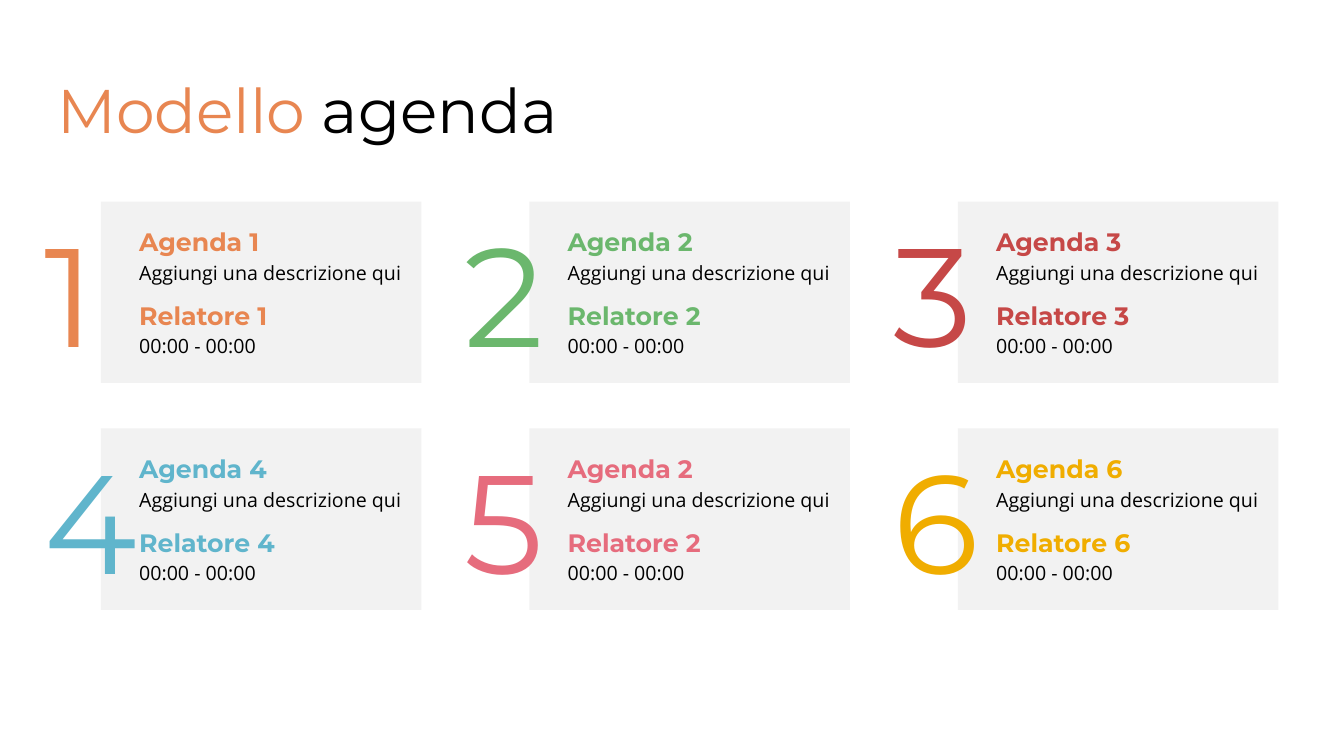
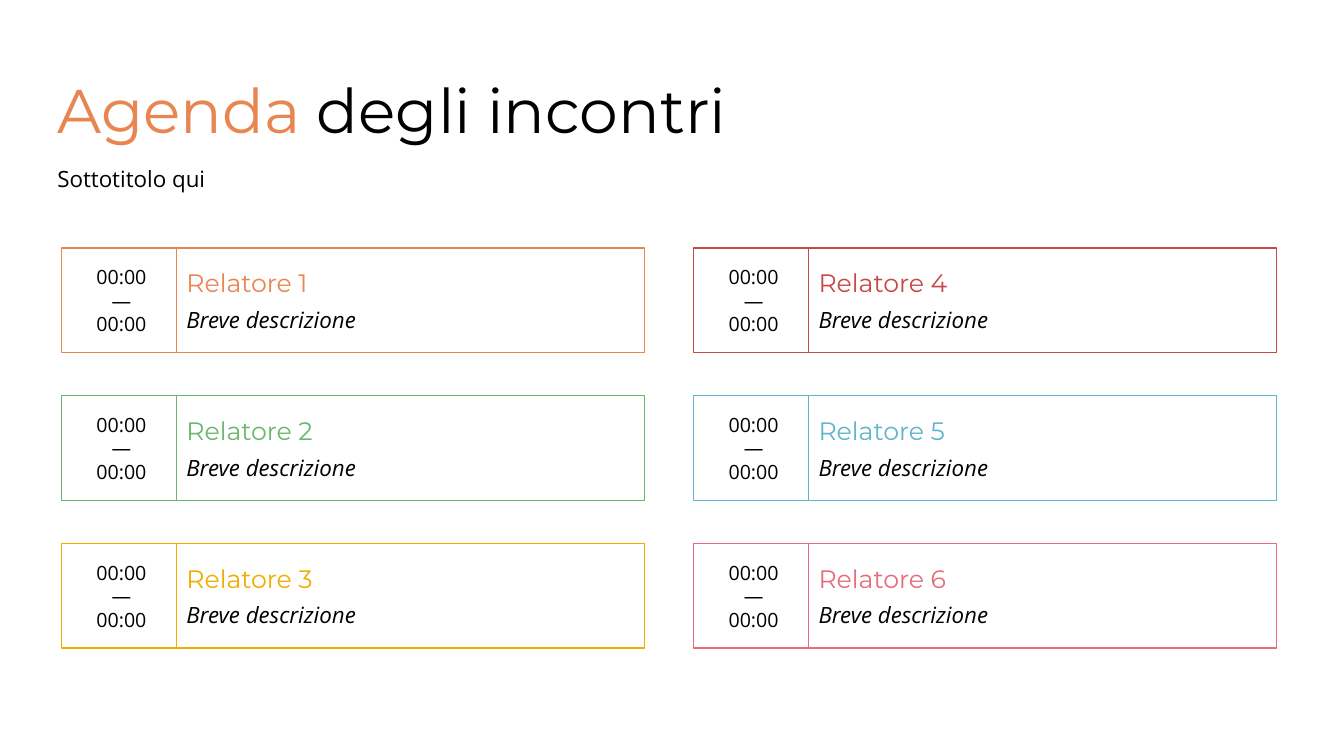
from pptx import Presentation
from pptx.dml.color import RGBColor
from pptx.enum.shapes import MSO_SHAPE as Shape
from pptx.enum.text import MSO_ANCHOR as Anchor, MSO_AUTO_SIZE as AutoSize, PP_ALIGN as Align
from pptx.util import Inches, Pt

ORANGE, GREEN, RED = "E88651", "6BB76D", "C64847"
BLUE, PINK, YELLOW = "60B5CC", "E66C7D", "F0AD00"
BLACK, WHITE, GREY = "000000", "FFFFFF", "F2F2F2"


def color(value):
    return RGBColor.from_string(value)


class Deck:
    """Holds the style, the presentation and the slide being filled."""

    HEADING, BODY = "Montserrat", "Open Sans"

    def __init__(self):
        self.presentation = Presentation()
        self.presentation.slide_width = Inches(13.33)
        self.presentation.slide_height = Inches(7.5)
        self.slide = None

    def new_slide(self, accent, rest):
        self.slide = self.presentation.slides.add_slide(self.presentation.slide_layouts[6])
        self.text((0.47, 0.4, 11.5, 1.45), [
            self.line([self.heading(accent, ORANGE, 44), self.heading(rest, BLACK, 44)],
                      line_spacing=0.9)])

    def heading(self, text, ink, size=18, **font):
        return text, ink, dict(name=self.HEADING, size=Pt(size), **font)

    def body(self, text, size=14, **font):
        return text, BLACK, dict(name=self.BODY, size=Pt(size), **font)

    def line(self, runs, **layout):
        return runs, layout

    def fill_text(self, shape, lines, **frame_format):
        frame = shape.text_frame
        settings = dict(word_wrap=True, vertical_anchor=Anchor.MIDDLE)
        settings.update(frame_format)
        for name, value in settings.items():
            setattr(frame, name, value)
        for index, (runs, layout) in enumerate(lines):
            paragraph = frame.add_paragraph() if index else frame.paragraphs[0]
            for name, value in dict(dict(alignment=Align.LEFT), **layout).items():
                setattr(paragraph, name, value)
            for text, ink, font in runs:
                run = paragraph.add_run()
                run.text = text
                run.font.color.rgb = color(ink)
                for name, value in font.items():
                    setattr(run.font, name, value)

    def text(self, place, lines, shapes=None, **frame_format):
        shapes = shapes or self.slide.shapes
        self.fill_text(shapes.add_textbox(*map(Inches, place)), lines, **frame_format)

    def box(self, place, fill, lines, outline=None, shapes=None, **frame_format):
        if shapes is None:
            shapes = self.slide.shapes
        shape = shapes.add_shape(Shape.RECTANGLE, *map(Inches, place))
        shape.shadow.inherit = False
        shape.fill.solid()
        shape.fill.fore_color.rgb = color(fill)
        if outline:
            shape.line.color.rgb = color(outline)
            shape.line.width = Pt(1)
        else:
            shape.line.fill.background()
        self.fill_text(shape, lines, **frame_format)

    def agenda_card(self, left, top, number, label, ink):
        shapes = self.slide.shapes.add_group_shape().shapes
        self.box((left, top, 3.18, 1.8), GREY, [
            self.line([self.heading(f"Agenda {label}", ink, bold=True)]),
            self.line([self.body("Aggiungi una descrizione qui")], space_before=Pt(2.8)),
            self.line([self.heading(f"Relatore {label}", ink, bold=True)], space_before=Pt(11.3)),
            self.line([self.body("00:00 - 00:00")], space_before=Pt(2.8)),
        ], shapes=shapes, margin_left=Inches(0.38))
        number_left = left - (0.66 if left == 1 else 0.74)
        self.text((number_left, top + 0.01, 0.95, 1.77),
                  [self.line([self.heading(str(number), ink, 100)])], shapes=shapes,
                  vertical_anchor=Anchor.TOP, auto_size=AutoSize.SHAPE_TO_FIT_TEXT)

    def meeting_row(self, left, top, number, ink):
        self.box((left, top, 1.19, 1.04), WHITE,
                 [self.line([self.body(text)], alignment=Align.CENTER)
                  for text in ("00:00", "—", "00:00")], outline=ink)
        self.box((left + 1.14, top, 4.64, 1.04), WHITE, [
            self.line([self.heading(f"Relatore {number}", ink)]),
            self.line([self.body("Breve descrizione", 16, italic=True)], space_before=Pt(5.7)),
        ], outline=ink)


def build_agenda(deck):
    deck.new_slide("Modello ", "agenda")
    cards = [(1, ORANGE), (2, GREEN), (3, RED), (4, BLUE), (2, PINK), (6, YELLOW)]
    for index, (label, ink) in enumerate(cards):
        row, column = divmod(index, 3)
        deck.agenda_card(1 + 4.25 * column, 2 + 2.25 * row, index + 1, label, ink)


def build_meetings(deck):
    deck.new_slide("Agenda", " degli incontri")
    deck.text((0.47, 1.62, 6.1, 0.34),
              [deck.line([deck.body("Sottotitolo qui", 16)],
                         line_spacing=0.9, space_before=Pt(10))],
              auto_size=AutoSize.SHAPE_TO_FIT_TEXT)
    for index, ink in enumerate((ORANGE, GREEN, YELLOW, RED, BLUE, PINK)):
        column, row = divmod(index, 3)
        deck.meeting_row(0.61 + 6.27 * column, 2.46 + 2.93 / 2 * row, index + 1, ink)


def main():
    deck = Deck()
    build_agenda(deck)
    build_meetings(deck)
    deck.presentation.save("out.pptx")


if __name__ == "__main__":
    main()
